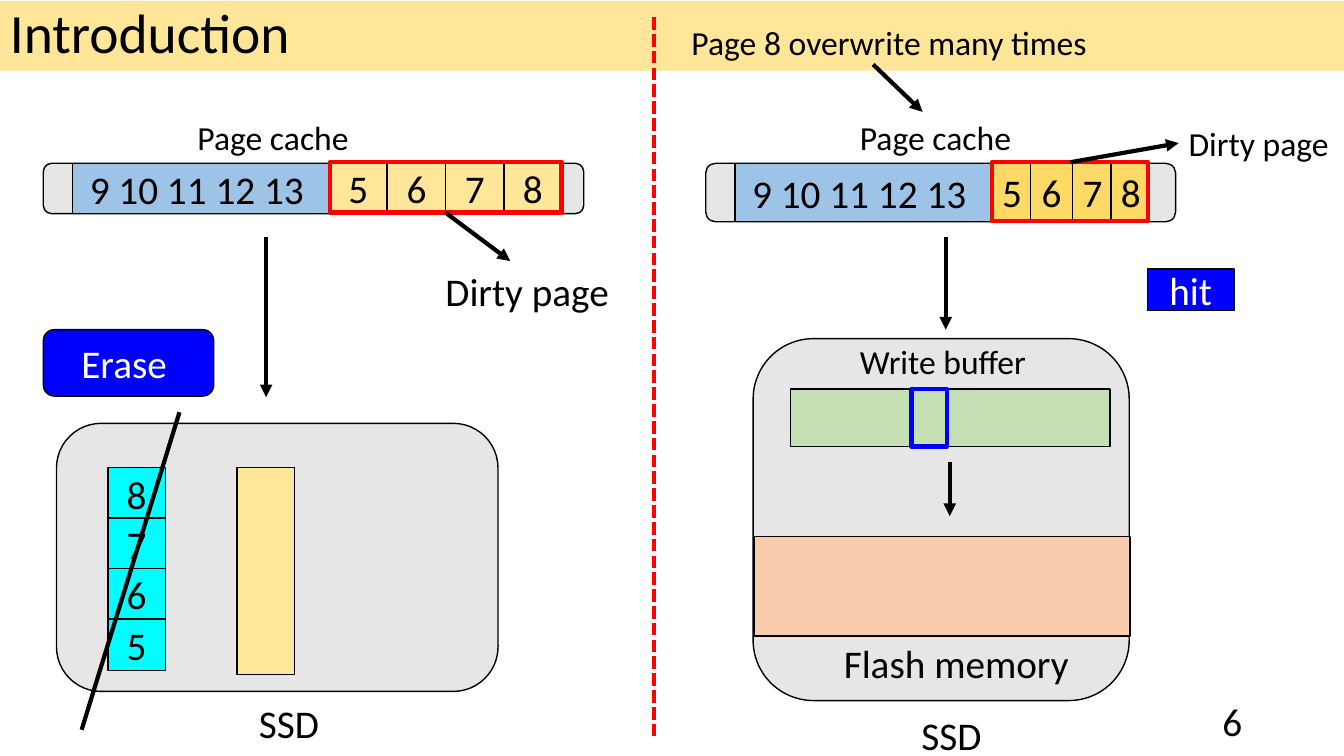
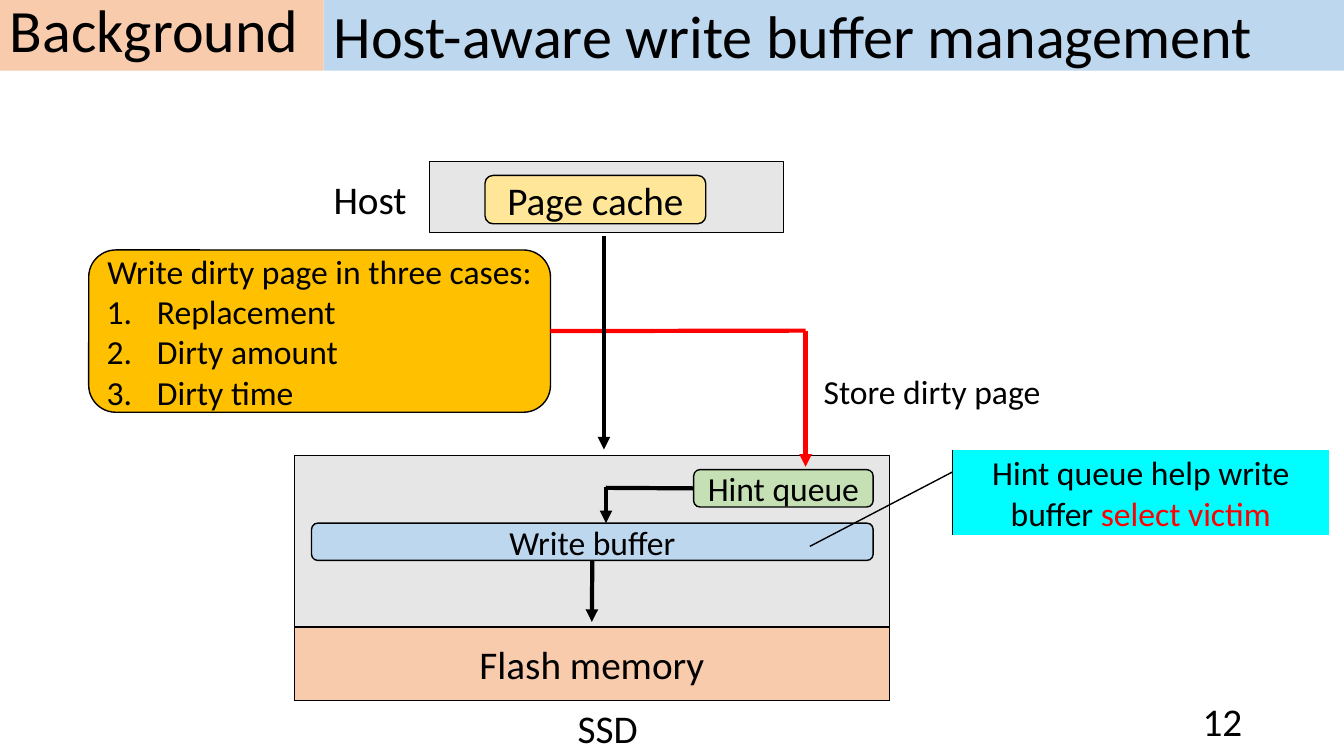
"""Builds two slides on page caching and write buffers in solid-state drives."""
from pptx import Presentation
from pptx.dml.color import RGBColor
from pptx.enum.dml import MSO_LINE
from pptx.enum.shapes import MSO_CONNECTOR, MSO_SHAPE as SHAPE
from pptx.enum.text import MSO_ANCHOR as ANCHOR, PP_ALIGN as ALIGN
from pptx.oxml.ns import qn
from pptx.util import Inches, Pt
from lxml.etree import SubElement

THEME = {
    "font": "Calibri", "body": 28, "small": 24, "thin": 1, "thick": 3,
    "black": "000000", "white": "FFFFFF", "red": "FF0000", "blue": "0000FF",
    "grey": "E7E6E6", "cream": "FFE699", "gold": "FFD966", "amber": "FFC000",
    "cyan": "00FDFF", "sky": "9DC3E6", "pale": "BDD7EE", "green": "C5E0B4",
    "peach": "F8CBAD",
}
RECT, ROUND, CALLOUT = SHAPE.RECTANGLE, SHAPE.ROUNDED_RECTANGLE, SHAPE.LINE_CALLOUT_1_ACCENT_BAR
TOP, LEFT, BOTTOM, RIGHT = range(4)


def box(s, kind, at, text="", fill=None, line="black", width="thin", size="body",
        color="black", align=ALIGN.CENTER, anchor=ANCHOR.MIDDLE, spacing=None):
    """Add a shape, or a text box when kind is None; text is a string or (text, colour) runs."""
    at = [Inches(v) for v in at]
    if kind is None:
        sp = s.shapes.add_textbox(*at)
    else:
        sp = s.shapes.add_shape(kind, *at)
        sp.shadow.inherit = False
        if fill:
            sp.fill.solid()
            sp.fill.fore_color.rgb = RGBColor.from_string(THEME[fill])
        else:
            sp.fill.background()
        if line:
            sp.line.color.rgb = RGBColor.from_string(THEME[line])
            sp.line.width = Pt(THEME[width])
        else:
            sp.line.fill.background()
    tf = sp.text_frame
    for name, value in {"word_wrap": True, "vertical_anchor": anchor}.items():
        setattr(tf, name, value)
    lines = text.split("\n") if isinstance(text, str) else [text]
    for i, content in enumerate(lines if text else []):
        p = tf.paragraphs[0] if i == 0 else tf.add_paragraph()
        for name, value in {"alignment": align, "line_spacing": spacing}.items():
            setattr(p, name, value)
        for run_text, run_color in [(content, color)] if isinstance(content, str) else content:
            r = p.add_run()
            r.text = run_text
            r.font.color.rgb = RGBColor.from_string(THEME[run_color])
            for name, value in {"name": THEME["font"], "size": Pt(THEME.get(size, size))}.items():
                setattr(r.font, name, value)
    return sp


def link(s, start, end, color="black", arrow=True, dash=None, source=None):
    """Add a straight line, optionally with an arrowhead, joined to source (shape, side)."""
    c = s.shapes.add_connector(MSO_CONNECTOR.STRAIGHT, *[Inches(v) for v in (*start, *end)])
    if source:
        c.begin_connect(*source)
    c.line.color.rgb = RGBColor.from_string(THEME[color])
    c.line.width = Pt(THEME["thick"])
    if dash:
        c.line.dash_style = dash
    if arrow:
        SubElement(c.line._get_or_add_ln(), qn("a:tailEnd"), type="triangle")
    SubElement(c._element.spPr, qn("a:effectLst"))


prs = Presentation()
prs.slide_width, prs.slide_height = Inches(13.33), Inches(7.5)
LABEL = {"align": ALIGN.LEFT, "anchor": ANCHOR.TOP}
NOTE = {**LABEL, "size": "small"}
BAND = {"line": None, "align": ALIGN.LEFT}

slides = []
for number, bands in [
    ("6", [((0, 0.01, 13.33, 0.69), "Introduction", "cream", 39.6, 0.9)]),
    ("12", [((3.21, -0.01, 10.12, 0.71), "Host-aware write buffer management", "pale", 43, None),
            ((0, -0.01, 3.21, 0.71), "Background", "peach", 42.9, 0.8)]),
]:
    s = prs.slides.add_slide(prs.slide_layouts[6])
    for at, title, fill, size, spacing in bands:
        box(s, RECT, at, title, fill, size=size, spacing=spacing, **BAND)
    box(s, None, (9.42, 6.95, 3, 0.4), number, align=ALIGN.RIGHT)
    slides.append(s)
intro, background = slides

s = intro
box(s, ROUND, (0.56, 4.2, 4.38, 2.66), fill="grey")
box(s, ROUND, (0.43, 3.27, 1.69, 0.66), "Erase ", "blue", color="white")
box(s, RECT, (11.38, 2.67, 0.86, 0.41), "hit", "blue", color="white")
box(s, ROUND, (7.47, 3.36, 3.73, 3.59), fill="grey")
box(s, RECT, (7.84, 3.86, 3.17, 0.57), fill="green")
box(s, RECT, (9.04, 3.86, 0.35, 0.57), line="blue", width="thick")
box(s, RECT, (7.48, 5.32, 3.73, 0.99), fill="peach")

for x, cache_w, h, fill, widths, start, end in [
    (0.43, 5.36, 0.5, "cream", [0.57, 0.58, 0.58, 0.57], (4.42, 2.12), (5.06, 2.59)),
    (7, 4.66, 0.58, "gold", [0.38, 0.42, 0.38, 0.37], (10.61, 1.61), (11.69, 1.42)),
]:
    box(s, ROUND, (x, 1.62, cache_w, h), fill="grey")
    box(s, RECT, (x + 0.29, 1.62, 2.55, h), "9 10 11 12 13 ", "sky")
    left = x + 2.84
    for i, w in enumerate(widths):
        box(s, RECT, (left + sum(widths[:i]), 1.61, w, h), str(5 + i), fill)
    frame = box(s, RECT, (left, 1.61, sum(widths), h), line="red", width="thick")
    link(s, start, end, source=(frame, BOTTOM if end[1] > start[1] else TOP))
    box(s, None, (x + 1.43, 1.11, 1.76, 0.5), "Page cache", **NOTE)

for i, page in enumerate("8765"):
    box(s, RECT, (1.07, 4.64 + 0.5 * i, 0.57, 0.51), page, "cyan")
box(s, RECT, (2.35, 4.64, 0.57, 2.05), fill="cream")

for at, text, style in [
    ((4.32, 2.6, 1.93, 0.57), "Dirty page", LABEL),
    ((2.47, 6.89, 0.9, 0.57), "SSD", LABEL),
    ((9.04, 7.01, 1.08, 0.57), "SSD", LABEL),
    ((8.27, 6.29, 2.61, 0.57), "Flash memory", LABEL),
    ((11.69, 1.17, 1.65, 0.5), "Dirty page", NOTE),
    ((8.43, 3.33, 2.24, 0.5), "Write buffer", NOTE),
    ((6.76, 0.17, 4.14, 0.5), "Page 8 overwrite many times", NOTE),
]:
    box(s, None, at, text, **style)

for start, end in [((2.64, 2.35), (2.64, 3.94)), ((9.38, 2.35), (9.38, 3.27)),
                   ((9.42, 4.58), (9.42, 5.12)), ((8.66, 0.64), (9.15, 1.11))]:
    link(s, start, end)
link(s, (1.78, 4.09), (0.81, 7.24), arrow=False)
link(s, (6.49, 0.17), (6.49, 7.33), "red", arrow=False, dash=MSO_LINE.SQUARE_DOT)

s = background
box(s, RECT, (4.26, 1.6, 3.51, 0.71), fill="grey")
box(s, ROUND, (4.81, 1.74, 2.19, 0.48), "Page cache", "cream")
cases = box(s, ROUND, (0.88, 2.48, 4.58, 1.61),
            "Write dirty page in three cases:\nReplacement\nDirty amount\nDirty time",
            "amber", size="small", align=ALIGN.LEFT)
cases.text_frame.paragraphs[0].alignment = ALIGN.CENTER
for p in cases.text_frame.paragraphs[1:]:
    pPr = p._p.get_or_add_pPr()
    for name, value in {"marL": Inches(0.5), "indent": -Inches(0.5)}.items():
        pPr.set(name, str(value))
    SubElement(pPr, qn("a:buAutoNum"), type="arabicPeriod")

box(s, RECT, (2.92, 4.52, 5.9, 2.43), fill="grey")
box(s, RECT, (2.92, 6.22, 5.9, 0.73), "Flash memory", "peach")
buffer = box(s, ROUND, (3.09, 5.19, 5.57, 0.37), "Write buffer", "pale", size="small")
callout = box(s, CALLOUT, (9.45, 4.46, 3.73, 0.85),
              [("Hint queue help write buffer ", "black"), ("select victim", "red")],
              "cyan", size="small")
for i, value in enumerate([0.26, 0, 1.13, -0.38]):
    callout.adjustments[i] = value
queue = box(s, ROUND, (6.88, 4.66, 1.78, 0.37), "Hint queue", "green", size="small")

for at, text, style in [
    ((3.21, 1.69, 1.02, 0.57), "Host", LABEL),
    ((5.63, 6.94, 0.89, 0.57), "SSD", LABEL),
    ((8.07, 3.63, 2.59, 0.5), "Store dirty page", NOTE),
]:
    box(s, None, at, text, **style)

for start, end, color, arrow, source in [
    ((5.46, 3.28), (7.99, 3.28), "red", False, (cases, RIGHT)),
    ((7.99, 3.28), (7.99, 4.63), "red", True, None),
    ((5.99, 2.34), (5.99, 4.46), "black", True, None),
    ((6.88, 4.84), (6.01, 4.84), "black", False, (queue, LEFT)),
    ((6.01, 4.83), (6.01, 5.19), "black", True, None),
    ((5.87, 5.56), (5.87, 6.17), "black", True, (buffer, BOTTOM)),
]:
    link(s, start, end, color, arrow, source=source)

prs.save("out.pptx")
